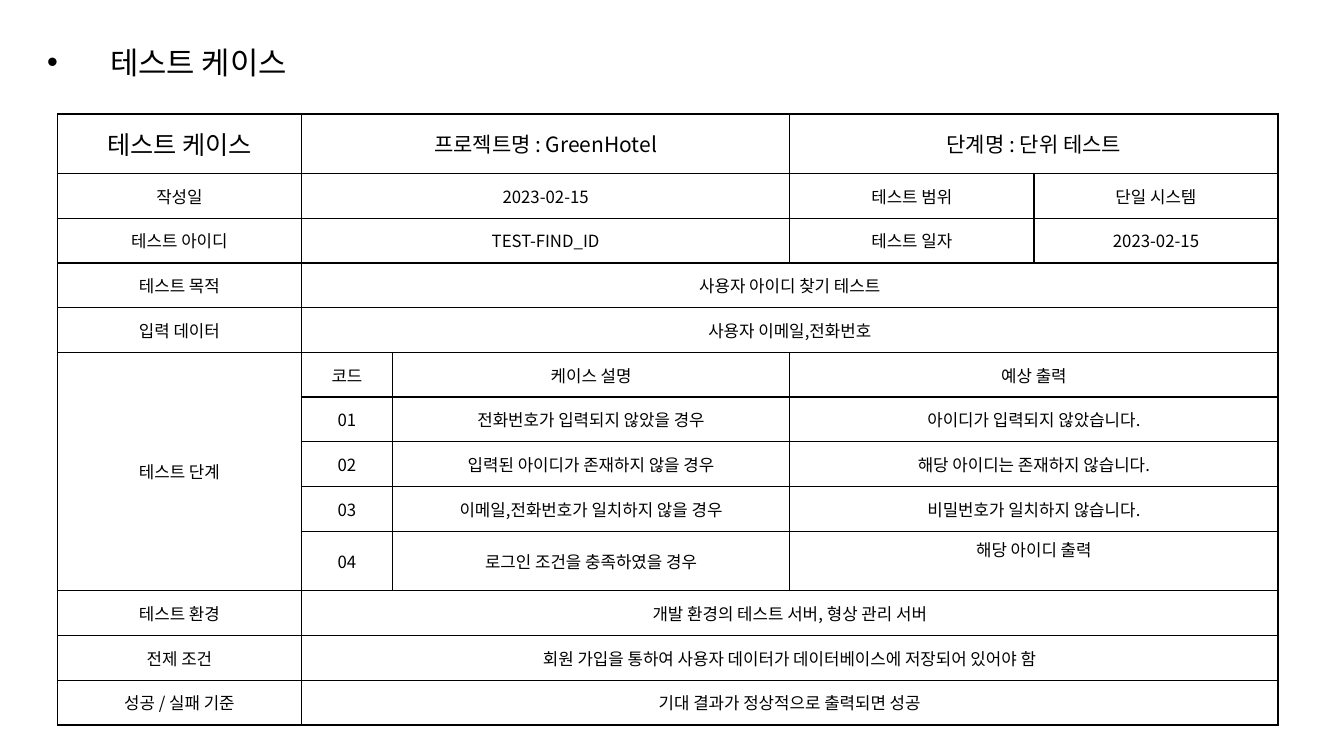
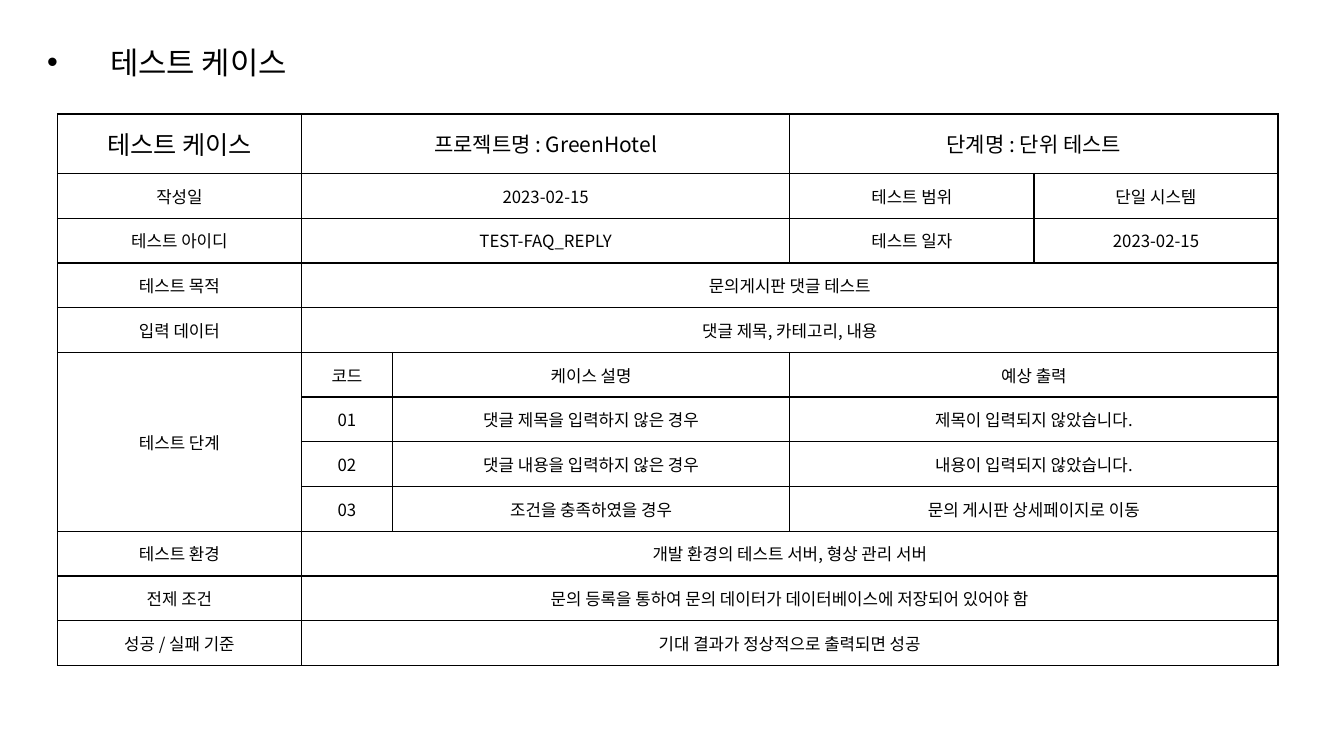
from dataclasses import dataclass
from lxml.etree import SubElement as Sub
from pptx import Presentation as Deck
from pptx.dml.color import RGBColor as Color
from pptx.enum.text import MSO_ANCHOR as Anchor, PP_ALIGN as Align
from pptx.oxml.ns import qn
from pptx.util import Pt


@dataclass(frozen=True)
class Theme:
    font: str = "Noto Sans CJK KR"
    ink: Color = Color(0, 0, 0)
    paper: Color = Color(255, 255, 255)
    title: int = 22
    lead: int = 18
    head: int = 15
    body: int = 12
    rule: int = 1


THEME = Theme()
SIZE = (960, 540)
TITLE = (26.6, 13, 850, 65.5)
GRID = (41, 81.4, 872)
WIDE = 174.4
COLS = (WIDE, 65, 283.8, WIDE, WIDE)
TALL, ROW = 42.5, 31.95
HALF, PAIR, FULL, STEP = (1, 2, 2), (1, 2, 1, 1), (1, 4), (1, 1, 1, 2)
DATE = "2023-02-15"

CASES = (
    {
        "id": "TEST-FIND_ID",
        "goal": "사용자 아이디 찾기 테스트",
        "input": "사용자 이메일,전화번호",
        "steps": (
            ("전화번호가 입력되지 않았을 경우", "아이디가 입력되지 않았습니다."),
            ("입력된 아이디가 존재하지 않을 경우", "해당 아이디는 존재하지 않습니다."),
            ("이메일,전화번호가 일치하지 않을 경우", "비밀번호가 일치하지 않습니다."),
            ("로그인 조건을 충족하였을 경우", "해당 아이디 출력"),
        ),
        "needs": "회원 가입을 통하여 사용자 데이터가 데이터베이스에 저장되어 있어야 함",
        "raised": 9,
    },
    {
        "id": "TEST-FAQ_REPLY",
        "goal": "문의게시판 댓글 테스트",
        "input": "댓글 제목, 카테고리, 내용",
        "steps": (
            ("댓글 제목을 입력하지 않은 경우", "제목이 입력되지 않았습니다."),
            ("댓글 내용을 입력하지 않은 경우", "내용이 입력되지 않았습니다."),
            ("조건을 충족하였을 경우", "문의 게시판 상세페이지로 이동"),
        ),
        "needs": "문의 등록을 통하여 문의 데이터가 데이터베이스에 저장되어 있어야 함",
        "raised": None,
    },
)


def style(para, size):
    for run in para.runs:
        font = run.font
        font.size = Pt(size)
        font.name = THEME.font
        font.color.rgb = THEME.ink
        Sub(font._element, qn("a:ea"), typeface=THEME.font)


def add_title(slide, box, text):
    frame = slide.shapes.add_textbox(*map(Pt, box)).text_frame
    frame.word_wrap = True
    frame.vertical_anchor = Anchor.MIDDLE
    para = frame.paragraphs[0]
    para.text = text
    para.line_spacing = 0.9
    props = para._p.get_or_add_pPr()
    props.set("marL", str(Pt(45)))
    props.set("indent", str(Pt(-45)))
    Sub(props, qn("a:buFont"), typeface="Arial")
    Sub(props, qn("a:buChar"), char="•")
    style(para, THEME.title)


def frame_cell(cell):
    props = cell._tc.get_or_add_tcPr()
    for side in ("lnL", "lnR", "lnT", "lnB"):
        line = Sub(props, qn("a:" + side), w=str(Pt(THEME.rule)))
        fill = Sub(line, qn("a:solidFill"))
        Sub(fill, qn("a:srgbClr"), val=str(THEME.ink))
    cell.fill.solid()
    cell.fill.fore_color.rgb = THEME.paper


def fill_cell(cell, text, size):
    cell.text_frame.text = text
    cell.vertical_anchor = Anchor.MIDDLE
    para = cell.text_frame.paragraphs[0]
    para.alignment = Align.CENTER
    style(para, size)


def list_rows(case):
    steps = [(STEP, ("", f"{num:02}", *pair))
             for num, pair in enumerate(case["steps"], 1)]
    return [
        (HALF, ("테스트 케이스", "프로젝트명 : GreenHotel", "단계명 : 단위 테스트")),
        (PAIR, ("작성일", DATE, "테스트 범위", "단일 시스템")),
        (PAIR, ("테스트 아이디", case["id"], "테스트 일자", DATE)),
        (FULL, ("테스트 목적", case["goal"])),
        (FULL, ("입력 데이터", case["input"])),
        (STEP, ("테스트 단계", "코드", "케이스 설명", "예상 출력")),
        *steps,
        (FULL, ("테스트 환경", "개발 환경의 테스트 서버, 형상 관리 서버")),
        (FULL, ("전제 조건", case["needs"])),
        (FULL, ("성공 / 실패 기준", "기대 결과가 정상적으로 출력되면 성공")),
    ]


def add_grid(slide, box, case):
    rows = list_rows(case)
    highs = [TALL if at in (0, case["raised"]) else ROW for at in range(len(rows))]
    left, top, width = box
    table = slide.shapes.add_table(
        len(rows), len(COLS), Pt(left), Pt(top), Pt(width), Pt(sum(highs))).table
    table.first_row = table.horz_banding = False
    for col, wide in zip(table.columns, COLS):
        col.width = Pt(wide)
    for row, high in zip(table.rows, highs):
        row.height = Pt(high)
    for cell in table.iter_cells():
        frame_cell(cell)
    for at, (spans, texts) in enumerate(rows):
        col = 0
        for span, text in zip(spans, texts):
            cell = table.cell(at, col)
            if span > 1:
                cell.merge(table.cell(at, col + span - 1))
            if text:
                size = THEME.body if at else THEME.head if col else THEME.lead
                fill_cell(cell, text, size)
            col += span
    first = 5
    table.cell(first, 0).merge(table.cell(first + len(case["steps"]), 0))
    if case["raised"]:
        table.cell(case["raised"], 3).margin_bottom = Pt(20.5)


def add_case(deck, case):
    slide = deck.slides.add_slide(deck.slide_layouts[6])
    add_title(slide, TITLE, "테스트 케이스")
    add_grid(slide, GRID, case)


def main():
    deck = Deck()
    deck.slide_width, deck.slide_height = map(Pt, SIZE)
    for case in CASES:
        add_case(deck, case)
    deck.save("out.pptx")


if __name__ == "__main__":
    main()
